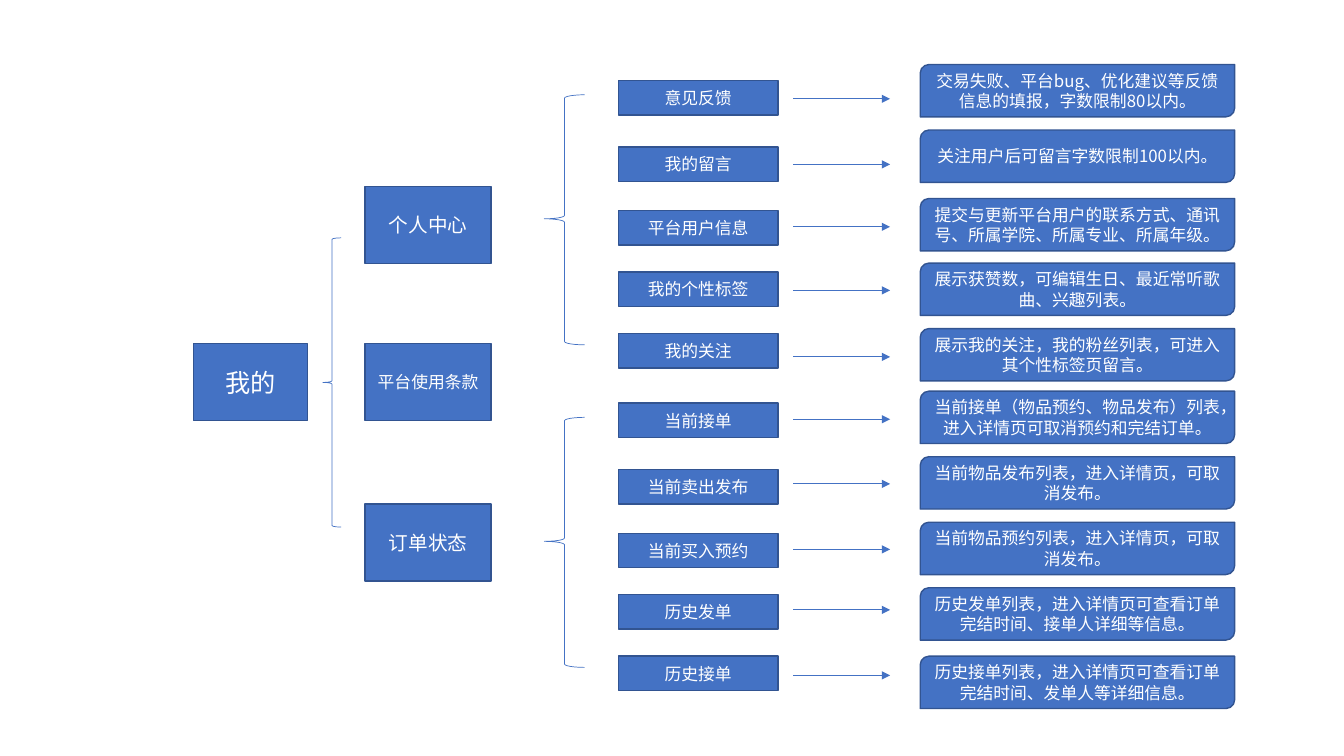
from lxml.etree import SubElement
from pptx import Presentation
from pptx.dml.color import RGBColor
from pptx.enum.shapes import MSO_CONNECTOR as Connector, MSO_SHAPE as Shape
from pptx.enum.text import MSO_ANCHOR as Anchor, PP_ALIGN as Align
from pptx.oxml.ns import qn
from pptx.util import Pt

BLUE = RGBColor(0x44, 0x72, 0xC4)
EDGE = RGBColor(0x32, 0x54, 0x91)
WHITE = RGBColor(0xFF, 0xFF, 0xFF)
FONT = "Noto Sans CJK SC"

# Offsets inside a branch, measured from its first item
ITEM_TOPS = [0, 47.5, 92.9, 136.8, 180.7]
ITEM_SIZE = (113.8, 24.5)
NOTE_SIZE = (224.6, 37.4)
ARROW_START, ARROW_END, NOTE_LEFT = 125, 194, 215.5

SECTIONS = [("个人中心", 133.2, 14), ("平台使用条款", 245.5, 12), ("订单状态", 360, 14)]

# Each row: item, note, arrow offset, note offset
PERSONAL_ROWS = [
    ("意见反馈", "交易失败、平台bug、优化建议等反馈信息的填报，字数限制80以内。", 13, -11.5),
    ("我的留言", "关注用户后可留言字数限制100以内。", 59.8, 35.3),
    ("平台用户信息", "提交与更新平台用户的联系方式、通讯号、所属学院、所属专业、所属年级。", 104.4, 84.2),
    ("我的个性标签", "展示获赞数，可编辑生日、最近常听歌曲、兴趣列表。", 149.8, 130.3),
    ("我的关注", "展示我的关注，我的粉丝列表，可进入其个性标签页留言。", 197.3, 177.1),
]
ORDER_ROWS = [
    ("当前接单", "当前接单（物品预约、物品发布）列表，进入详情页可取消预约和完结订单。", 11.5, -8.6),
    ("当前卖出发布", "当前物品发布列表，进入详情页，可取消发布。", 57.6, 38.2),
    ("当前买入预约", "当前物品预约列表，进入详情页，可取消发布。", 104.4, 85),
    ("历史发单", "历史发单列表，进入详情页可查看订单完结时间、接单人详细等信息。", 147.6, 131.8),
    ("历史接单", "历史接单列表，进入详情页可查看订单完结时间、发单人等详细信息。", 194.4, 180.7),
]


def add_box(slide, kind, left, top, size, text, font_size=12):
    shape = slide.shapes.add_shape(kind, Pt(left), Pt(top), *map(Pt, size))
    shape.shadow.inherit = False
    shape.fill.solid()
    shape.fill.fore_color.rgb = BLUE
    shape.line.color.rgb = EDGE
    shape.line.width = Pt(1)
    frame = shape.text_frame
    frame.word_wrap = True
    frame.vertical_anchor = Anchor.MIDDLE
    paragraph = frame.paragraphs[0]
    paragraph.alignment = Align.CENTER
    run = paragraph.add_run()
    run.text = text
    run.font.size = Pt(font_size)
    run.font.name = FONT
    run.font.color.rgb = WHITE
    # East Asian typeface
    SubElement(run._r.get_or_add_rPr(), qn("a:ea"), typeface=FONT)


def add_brace(slide, kind, left, top, width, height):
    brace = slide.shapes.add_shape(kind, Pt(left), Pt(top), Pt(width), Pt(height))
    brace.shadow.inherit = False
    brace.fill.background()
    brace.line.color.rgb = BLUE
    brace.line.width = Pt(0.5)
    return brace


def add_arrow(slide, start, end, y):
    arrow = slide.shapes.add_connector(
        Connector.STRAIGHT, Pt(start), Pt(y), Pt(end), Pt(y))
    arrow.line.color.rgb = BLUE
    arrow.line.width = Pt(0.5)
    SubElement(arrow.line._get_or_add_ln(), qn("a:tailEnd"), type="triangle")
    SubElement(arrow._element.spPr, qn("a:effectLst"))


def add_trunk(slide, left, top):
    """Root box, its brace and the section boxes."""
    add_box(slide, Shape.RECTANGLE, left, top, (81.4, 55), "我的", 18)
    add_brace(slide, Shape.LEFT_BRACE, left + 92.4, top - 75.6, 13, 206.6)
    for text, section_top, font_size in SECTIONS:
        add_box(slide, Shape.RECTANGLE, left + 122.6, section_top, (90, 55),
                text, font_size)


def add_branch(slide, left, top, rows):
    """Brace with five items, each pointing to its note."""
    brace = add_brace(slide, Shape.RIGHT_BRACE, left - 53, top + 10.1, 28.8, 178.6)
    brace.rotation = 180
    brace.adjustments[1] = 0.504
    for item_top, (item, note, arrow_y, note_top) in zip(ITEM_TOPS, rows):
        add_box(slide, Shape.RECTANGLE, left, top + item_top, ITEM_SIZE, item)
        add_arrow(slide, left + ARROW_START, left + ARROW_END, top + arrow_y)
        add_box(slide, Shape.ROUND_2_DIAG_RECTANGLE, left + NOTE_LEFT,
                top + note_top, NOTE_SIZE, note)


presentation = Presentation()
presentation.slide_width, presentation.slide_height = Pt(960), Pt(540)
slide = presentation.slides.add_slide(presentation.slide_layouts[6])

add_trunk(slide, 138.2, 245.5)
add_branch(slide, 441.8, 57.6, PERSONAL_ROWS)
add_branch(slide, 441.8, 288, ORDER_ROWS)

presentation.save("out.pptx")
